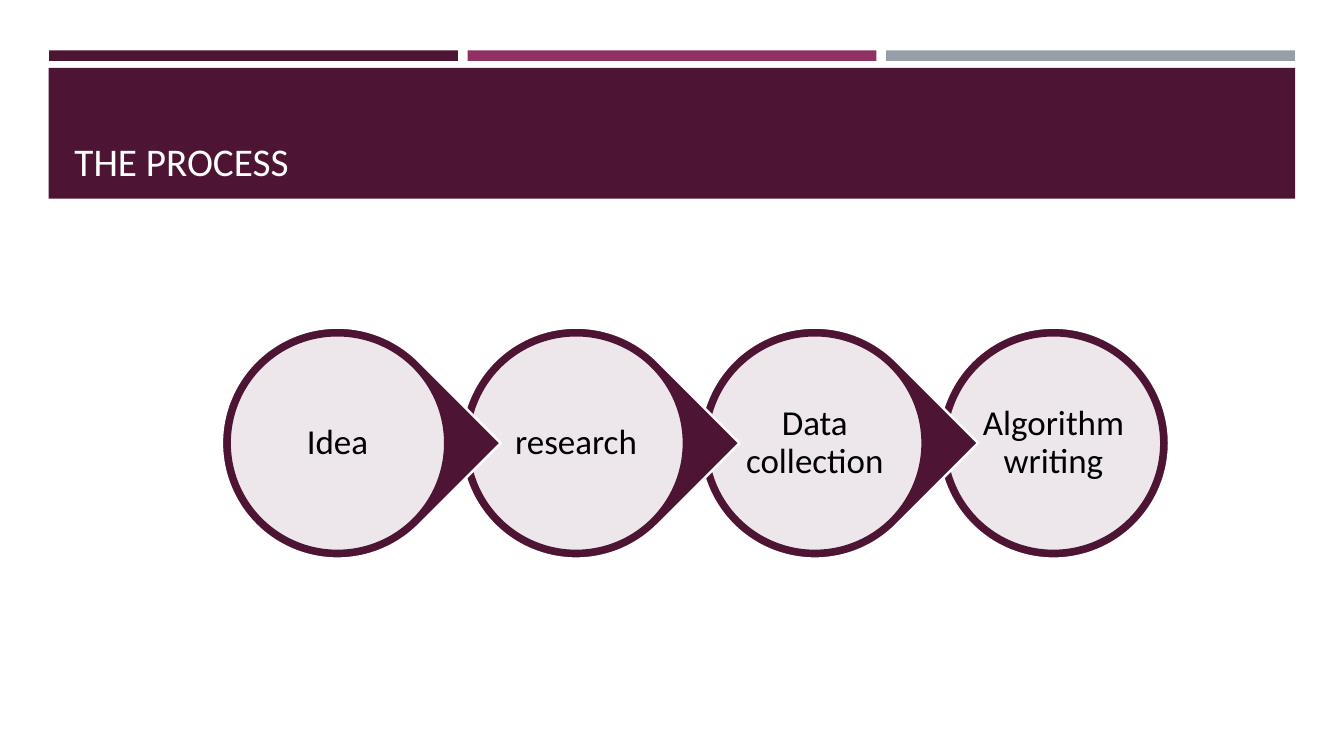
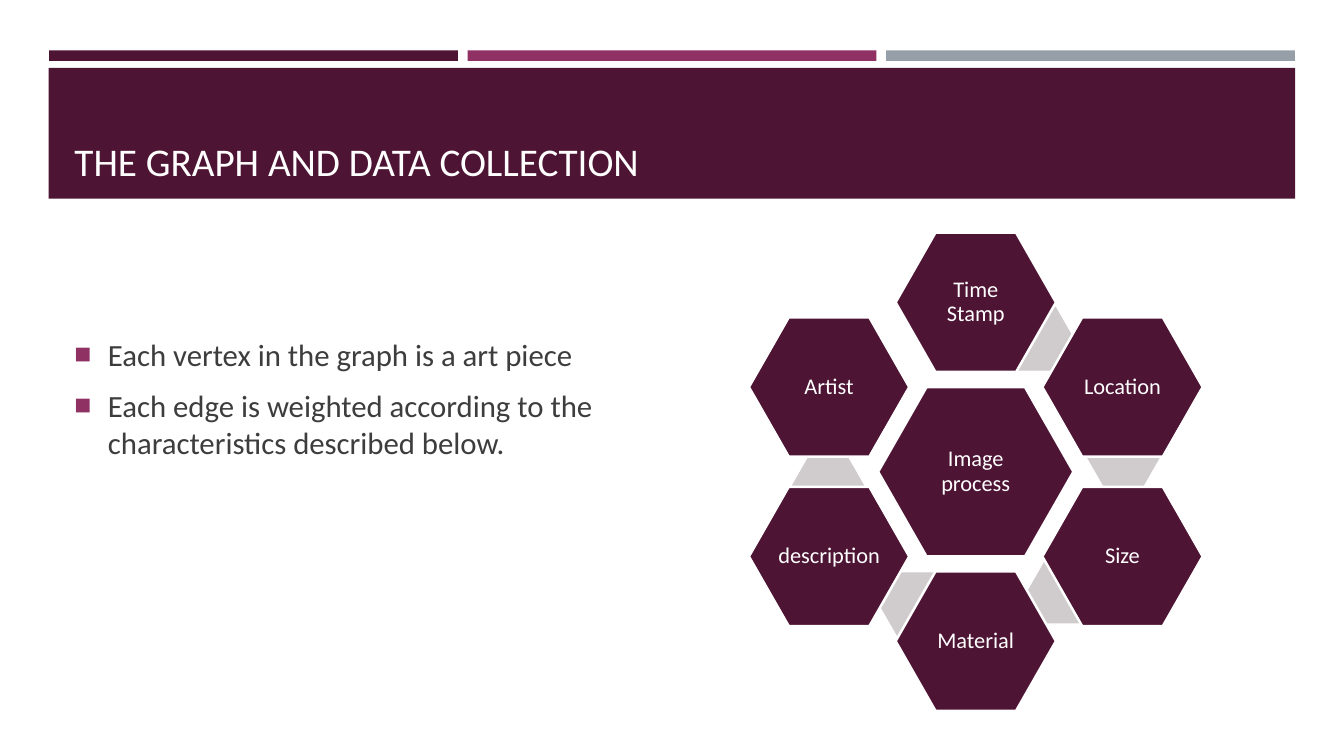
from math import cos, radians, sin

from lxml.etree import SubElement
from pptx import Presentation
from pptx.dml.color import RGBColor
from pptx.enum.shapes import MSO_SHAPE
from pptx.enum.text import MSO_ANCHOR, MSO_AUTO_SIZE, PP_ALIGN
from pptx.oxml.ns import qn
from pptx.util import Pt

# Shared look
FONT = "Calibri"
PLUM, MAGENTA, GREY = "4D1434", "903163", "969FA7"
PALE, WHITE, BLACK, INK = "D0CCCE", "FFFFFF", "000000", "3D3D3D"
TITLE_ONLY = 5


def color(hex_code):
    return RGBColor.from_string(hex_code)


def set_text(frame, *texts, size, ink, align=PP_ALIGN.LEFT,
             anchor=MSO_ANCHOR.MIDDLE, inset=None, spacing=1.0, after=0):
    """Fill a text frame, one paragraph for each text."""
    frame.word_wrap = True
    frame.auto_size = MSO_AUTO_SIZE.NONE
    frame.vertical_anchor = anchor
    if inset is not None:
        frame.margin_left = frame.margin_right = Pt(inset)
        frame.margin_top = frame.margin_bottom = Pt(inset)
    for index, text in enumerate(texts):
        para = frame.add_paragraph() if index else frame.paragraphs[0]
        para.alignment = align
        para.line_spacing = spacing
        para.space_before, para.space_after = Pt(0), Pt(after)
        span = para.add_run()
        span.text = text
        span.font.name, span.font.size = FONT, Pt(size)
        span.font.color.rgb = color(ink)


def add_bullet(para, indent):
    properties = para._p.get_or_add_pPr()
    properties.set("marL", str(Pt(indent)))
    properties.set("indent", str(-Pt(indent)))
    bullet_color = SubElement(properties, qn("a:buClr"))
    SubElement(bullet_color, qn("a:srgbClr"), val=MAGENTA)
    SubElement(properties, qn("a:buSzPct"), val="92000")
    SubElement(properties, qn("a:buFont"), typeface="Arial")
    SubElement(properties, qn("a:buChar"), char="■")


def add_figure(page, kind, left, top, width, height, fill, line=None, opacity=100):
    figure = page.shapes.add_shape(kind, Pt(left), Pt(top), Pt(width), Pt(height))
    figure.shadow.inherit = False
    figure.fill.solid()
    figure.fill.fore_color.rgb = color(fill)
    if opacity < 100:
        fill_color = figure.element.spPr.find(qn("a:solidFill"))[0]
        SubElement(fill_color, qn("a:alpha"), val=str(opacity * 1000))
    if line:
        figure.line.color.rgb = color(line)
        figure.line.width = Pt(1.75)
    else:
        figure.line.fill.background()
    return figure


def add_page(deck, heading):
    """Add a page with the three bars, the title band and the title."""
    page = deck.slides.add_slide(deck.slide_layouts[TITLE_ONLY])
    for column, fill in enumerate((PLUM, MAGENTA, GREY)):
        add_figure(page, MSO_SHAPE.RECTANGLE, 35 + 299 * column, 36, 292, 7.5, fill)
    add_figure(page, MSO_SHAPE.RECTANGLE, 34.7, 48.5, 890.5, 93.5, PLUM)

    title = page.shapes.title
    title.left, title.top, title.width, title.height = Pt(46), Pt(55.5), Pt(868), Pt(80)
    set_text(title.text_frame, heading, size=28, ink=WHITE, anchor=MSO_ANCHOR.BOTTOM)
    title.element.getparent().append(title.element)  # bring in front of the band
    return page


def add_process(page, steps, left, top, diameter, pitch, rim):
    """Draw steps from last to first, so each point overlaps the next circle."""
    last = len(steps) - 1
    inner = diameter - 2 * rim
    for index in range(last, -1, -1):
        x = left + index * pitch
        kind = MSO_SHAPE.OVAL if index == last else MSO_SHAPE.TEAR
        ring = add_figure(page, kind, x, top, diameter, diameter, PLUM, WHITE)
        if index < last:
            ring.adjustments[0] = 1
            ring.rotation = 45
        disc = add_figure(page, MSO_SHAPE.OVAL, x + rim, top + rim, inner, inner,
                          WHITE, PLUM, opacity=90)
        set_text(disc.text_frame, steps[index], size=25, ink=BLACK,
                 align=PP_ALIGN.CENTER, inset=2, spacing=0.9)


def add_hexagon(page, center_x, center_y, width, height, fill, line=None, label=None):
    hexagon = add_figure(page, MSO_SHAPE.HEXAGON, center_x - width / 2,
                         center_y - height / 2, width, height, fill, line)
    hexagon.adjustments[0] = 0.286
    hexagon.adjustments[1] = 1.1547
    if label:
        set_text(hexagon.text_frame, label, size=16, ink=WHITE,
                 align=PP_ALIGN.CENTER, inset=1.5, spacing=0.9)


def add_hexagon_ring(page, hub, labels, center_x, center_y, radius):
    """Draw a hub with one hexagon every 60 degrees, clockwise from the top."""
    links = ((44, -95), (105.5, -10.5), (63, 85.5), (-43, 94.5), (-105.5, 10.5))
    for shift_x, shift_y in links:
        add_hexagon(page, center_x + shift_x, center_y + shift_y, 52.5, 45.5, PALE)
    add_hexagon(page, center_x, center_y, 139.5, 121, PLUM, WHITE, hub)
    for index, label in enumerate(labels):
        angle = radians(60 * index - 90)
        add_hexagon(page, center_x + radius * cos(angle), center_y + radius * sin(angle),
                    114.5, 99.5, PLUM, WHITE, label)


def add_bullets(page, texts, left, top, width, height):
    box = page.shapes.add_textbox(Pt(left), Pt(top), Pt(width), Pt(height))
    set_text(box.text_frame, *texts, size=22, ink=INK, anchor=MSO_ANCHOR.TOP, after=10)
    for para in box.text_frame.paragraphs:
        add_bullet(para, 24)


def main():
    deck = Presentation()
    deck.slide_width, deck.slide_height = Pt(960), Pt(540)

    # Process
    page = add_page(deck, "THE PROCESS")
    add_process(page, ("Idea", "research", "Data collection", "Algorithm writing"),
                left=158.5, top=234, diameter=165, pitch=170.5, rim=5.5)

    # Graph and data collection
    page = add_page(deck, "THE GRAPH AND DATA COLLECTION")
    add_hexagon_ring(page, "Image process",
                     ("Time Stamp", "Location", "Size", "Material", "description", "Artist"),
                     center_x=697, center_y=337, radius=121)
    add_bullets(page, ("Each vertex in the graph is a art piece",
                       "Each edge is weighted according to the characteristics described below."),
                left=46, top=236, width=434, height=110)

    deck.save("out.pptx")


if __name__ == "__main__":
    main()
